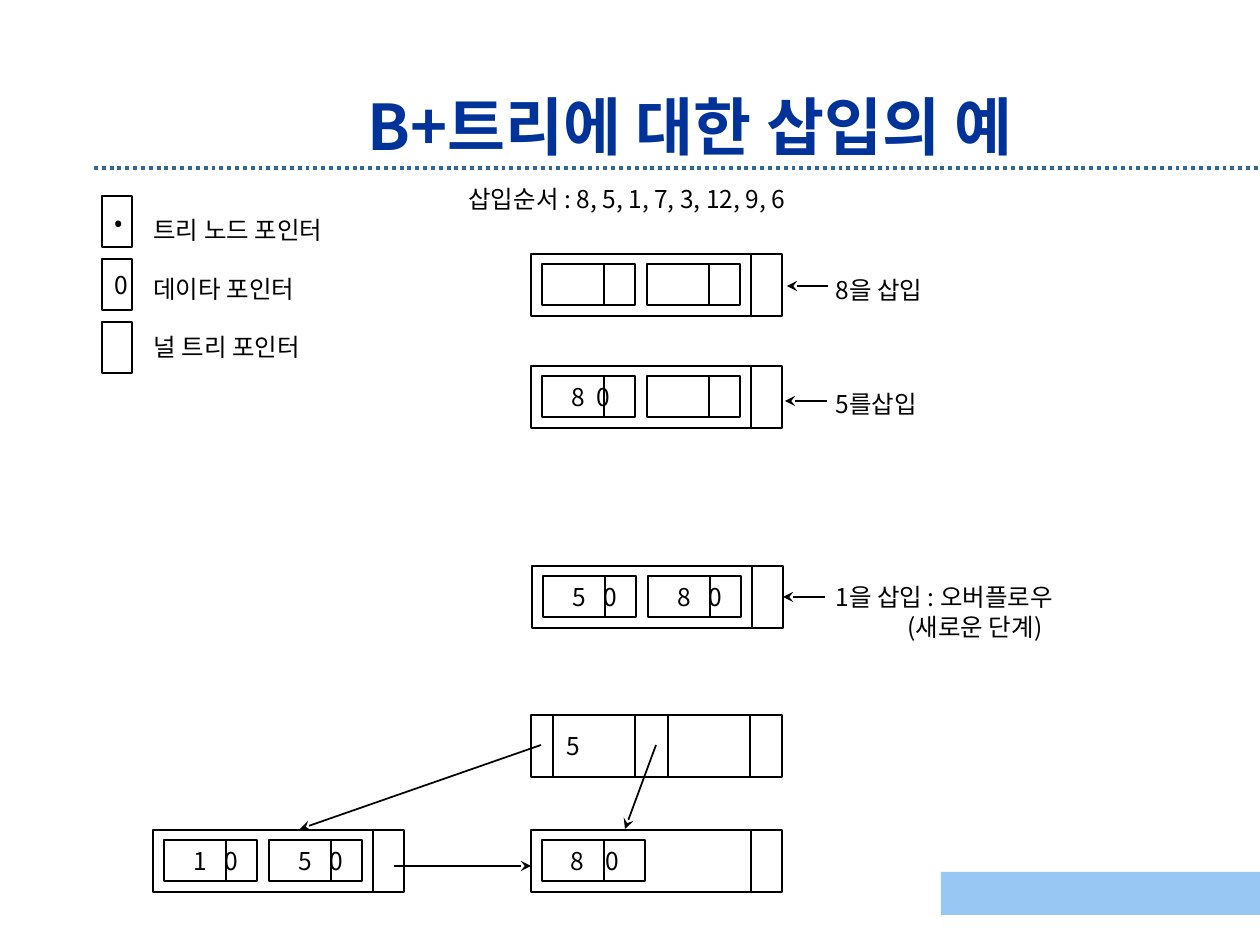
import pptx
import pptx.util
import pptx.dml.color
import pptx.enum.dml
import pptx.enum.shapes
import pptx.enum.text
import pptx.oxml

PX = 914400 / 126
FONT = "Noto Sans CJK KR"
BLACK = pptx.dml.color.RGBColor(0x00, 0x00, 0x00)
WHITE = pptx.dml.color.RGBColor(0xFF, 0xFF, 0xFF)
TITLE_BLUE = pptx.dml.color.RGBColor(0x00, 0x33, 0x99)
RULE_BLUE = pptx.dml.color.RGBColor(0x33, 0x66, 0x99)
BAND_BLUE = pptx.dml.color.RGBColor(0x99, 0xC7, 0xF3)

TITLE = "B+트리에 대한 삽입의 예"
ORDER = "삽입순서 : 8, 5, 1, 7, 3, 12, 9, 6"
LEGEND = [("•", "트리 노드 포인터"), ("0", "데이타 포인터"), ("", "널 트리 포인터")]
LEAVES = {
    "empty": (531, 254, 93, 0, ["", ""]),
    "one key": (531, 366, 93, 25, ["8", ""]),
    "full": (532, 566, 93, 31, ["5", "8"]),
    "left": (153, 830, 93, 31, ["1", "5"]),
    "right": (531, 830, 103, 35, ["8"]),
}
ROOT = (531, 715, ["5", ""])
STEPS = [
    (823, 269, ["8을 삽입"]),
    (823, 383, ["5를삽입"]),
    (823, 576, ["1을 삽입 : 오버플로우", "(새로운 단계)"]),
]
ARROWS = [
    (828, 286, 787, 286, None),
    (827, 401, 785, 401, None),
    (825, 597, 783, 597, "full"),
    (541, 745, 300, 829, None),
    (656, 745, 625, 829, None),
    (394, 866, 531, 866, None),
]
NODE_W, NODE_H = 251, 62
CELL_X, CELL_Y, CELL_H, CELL_STEP, KEY_W = 11, 10, 41, 105, 62
NEXT_X = 220


def px(length):
    return pptx.util.Emu(round(length * PX))


def write(paragraph, text, size=14, color=BLACK, bold=False):
    run = paragraph.add_run()
    run.text = text
    run.font.size = pptx.util.Pt(size)
    run.font.bold = bold
    run.font.color.rgb = color
    run.font.name = FONT
    properties = run._r.get_or_add_rPr()
    east_asian = pptx.oxml.parse_xml(
        f'<a:ea xmlns:a="http://schemas.openxmlformats.org/drawingml/2006/main" typeface="{FONT}"/>')
    properties.find(pptx.oxml.ns.qn("a:latin")).addnext(east_asian)


def add_box(x, y, w, h, text="", inset=13, tab=0, fill=WHITE, outline=BLACK):
    box = slide.shapes.add_shape(
        pptx.enum.shapes.MSO_SHAPE.RECTANGLE, px(x), px(y), px(w), px(h))
    box.shadow.inherit = False
    box.fill.solid()
    box.fill.fore_color.rgb = fill
    if outline is None:
        box.line.fill.background()
    else:
        box.line.color.rgb = outline
        box.line.width = pptx.util.Pt(1)
    if text:
        frame = box.text_frame
        frame.word_wrap = True
        frame.margin_left, frame.margin_right = px(inset), 0
        frame.vertical_anchor = pptx.enum.text.MSO_ANCHOR.MIDDLE
        paragraph = frame.paragraphs[0]
        paragraph.alignment = pptx.enum.text.PP_ALIGN.LEFT
        if tab:
            stops = paragraph._p.get_or_add_pPr().makeelement(pptx.oxml.ns.qn("a:tabLst"), {})
            stop = stops.makeelement(
                pptx.oxml.ns.qn("a:tab"), {"pos": str(px(tab)), "algn": "l"})
            stops.append(stop)
            paragraph._p.get_or_add_pPr().append(stops)
        write(paragraph, text)
    return box


def add_line(x1, y1, x2, y2, color=BLACK, width=1, arrow=False):
    line = slide.shapes.add_connector(
        pptx.enum.shapes.MSO_CONNECTOR.STRAIGHT, px(x1), px(y1), px(x2), px(y2))
    line.line.color.rgb = color
    line.line.width = pptx.util.Pt(width)
    if arrow:
        outline = line.line._get_or_add_ln()
        outline.append(outline.makeelement(pptx.oxml.ns.qn("a:tailEnd"), {"type": "stealth"}))
    shape_properties = line._element.spPr
    shape_properties.append(
        shape_properties.makeelement(pptx.oxml.ns.qn("a:effectLst"), {}))
    return line


def add_label(x, y, w, h, lines, gap=0, indent=0):
    frame = slide.shapes.add_textbox(px(x), px(y), px(w), px(h)).text_frame
    frame.word_wrap = True
    for i, text in enumerate(lines):
        paragraph = frame.add_paragraph() if i else frame.paragraphs[0]
        if i:
            paragraph.space_before = px(gap)
            paragraph._p.get_or_add_pPr().set("marL", str(px(indent)))
            paragraph._p.get_or_add_pPr().set("indent", "0")
        write(paragraph, text)


def add_leaf(x, y, cell_w, tab, keys):
    node = add_box(x, y, NODE_W, NODE_H)
    for i, key in enumerate(keys):
        left, top = x + CELL_X + i * CELL_STEP, y + CELL_Y
        add_box(left, top, cell_w, CELL_H, f"{key}\t0" if key else "", 29, tab)
        add_line(left + KEY_W, top, left + KEY_W, top + CELL_H)
    add_line(x + NEXT_X, y, x + NEXT_X, y + NODE_H)
    return node


deck = pptx.Presentation()
deck.slide_width, deck.slide_height = px(1260), px(945)
slide = deck.slides.add_slide(deck.slide_layouts[5])

add_line(94, 168, 1260, 168, RULE_BLUE, 2.25).line.dash_style = (
    pptx.enum.dml.MSO_LINE.ROUND_DOT)
add_box(941, 872, 319, 43, fill=BAND_BLUE, outline=None)

title = slide.shapes.title
title.left, title.top, title.width, title.height = px(286), px(59), px(808), px(80)
title.text_frame.vertical_anchor = pptx.enum.text.MSO_ANCHOR.TOP
heading = title.text_frame.paragraphs[0]
heading.alignment = pptx.enum.text.PP_ALIGN.CENTER
heading.line_spacing = 1.3
write(heading, TITLE, 36, TITLE_BLUE, True)

add_label(456, 178, 362, 42, [ORDER])
for i, (symbol, meaning) in enumerate(LEGEND):
    add_box(102, 196 + 63 * i, 30, 51, symbol)
add_label(141, 209, 210, 159, [meaning for symbol, meaning in LEGEND], gap=29)

nodes = {name: add_leaf(*leaf) for name, leaf in LEAVES.items()}

root_x, root_y, root_keys = ROOT
add_box(root_x, root_y, NODE_W, NODE_H)
for i, key in enumerate(root_keys):
    add_box(root_x + 22 + 115 * i, root_y, 82, NODE_H, key)

for x, y, lines in STEPS:
    add_label(x, y, 282, 42 + 30 * (len(lines) - 1), lines, indent=72)
for x1, y1, x2, y2, target in ARROWS:
    arrow = add_line(x1, y1, x2, y2, arrow=True)
    if target:
        arrow.end_connect(nodes[target], 3)

deck.save("out.pptx")
